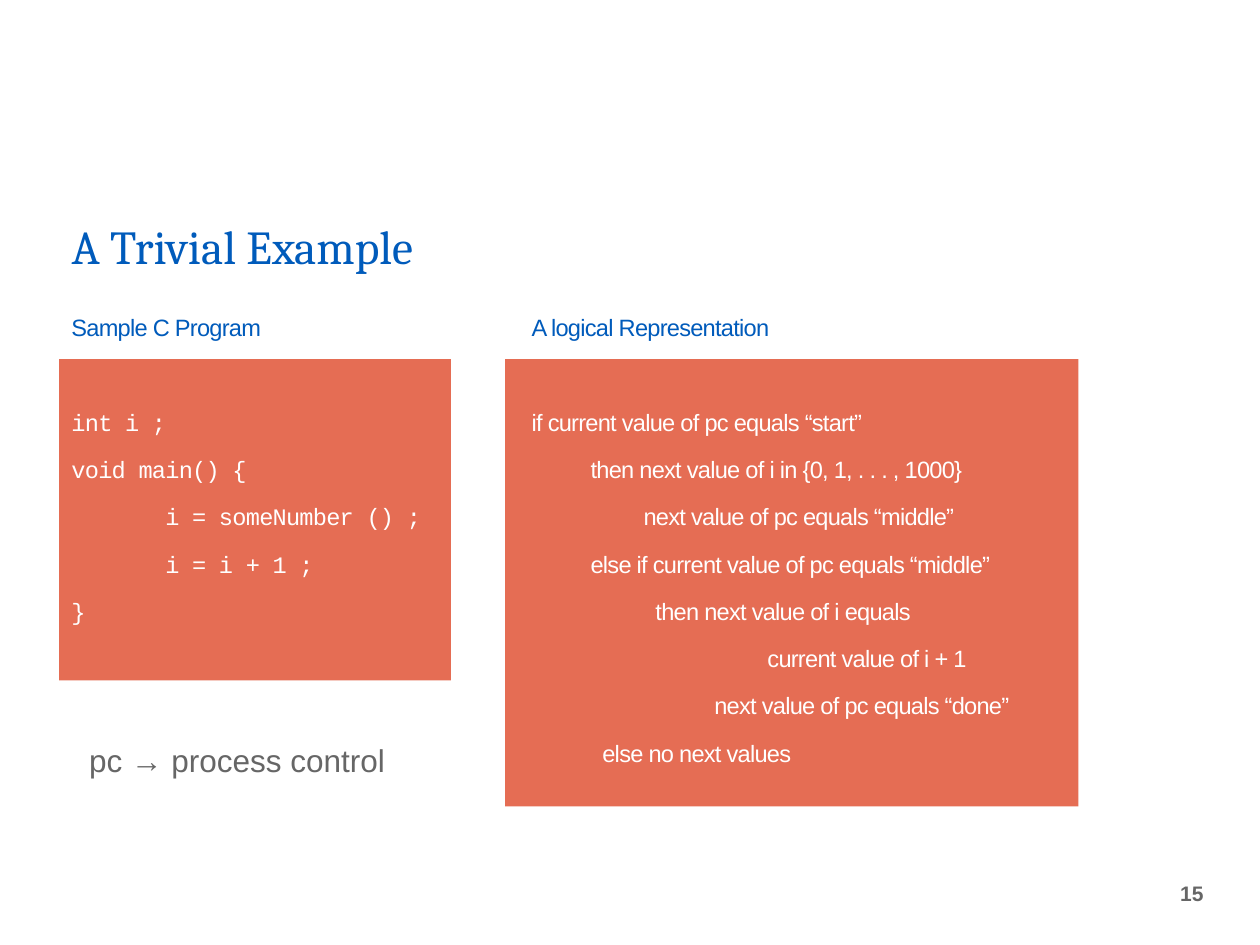
from pptx import Presentation
from pptx.dml.color import RGBColor
from pptx.enum.shapes import MSO_SHAPE as Shape
from pptx.enum.text import MSO_ANCHOR as Anchor, PP_ALIGN as Align
from pptx.util import Pt

COLORS = {"blue": "005BBB", "coral": "E56D54", "grey": "666666", "white": "FFFFFF"}
LINE, GAP = 19.5, 7.5
HEADING_H = 33.1
INDENT_STEP = 3.37

CODE = [
    "int i ;",
    "void main() {",
    "       i = someNumber () ;",
    "       i = i + 1 ;",
    "}",
]
LOGIC = [
    (0, "if current value of pc equals “start”"),
    (10, "then next value of i in {0, 1, . . . , 1000}"),
    (19, "next value of pc equals “middle”"),
    (10, "else if current value of pc equals “middle”"),
    (21, "then next value of i equals"),
    (40, "current value of i + 1"),
    (31, "next value of pc equals “done”"),
    (12, "else no next values"),
]


def rgb(name):
    return RGBColor.from_string(COLORS[name])


def add_text(s, box, text, font, size, color, anchor=Anchor.TOP, wrap=True):
    tf = s.shapes.add_textbox(*map(Pt, box)).text_frame
    tf.word_wrap = wrap
    tf.vertical_anchor = anchor
    p = tf.paragraphs[0]
    p.text = text
    style(p, font, size, color)
    return tf


def style(p, font, size, color):
    for r in p.runs:
        r.font.name = font
        r.font.size = Pt(size)
        r.font.color.rgb = rgb(color)


def tighten(p):
    p.line_spacing = Pt(LINE)
    for r in p.runs:
        r.font._element.set("spc", "-40")


def add_panel(s, box, inset, heading, lines, font):
    x, y, w, h = box
    card = s.shapes.add_shape(Shape.RECTANGLE, Pt(x), Pt(y + HEADING_H), Pt(w), Pt(h - HEADING_H))
    card.shadow.inherit = False
    card.fill.solid()
    card.fill.fore_color.rgb = rgb("coral")
    card.line.fill.background()

    text_box = (x + inset, y, w + 20 - 3 * inset, h)
    tf = add_text(s, text_box, heading, "Arial", 13.5, "blue")
    tighten(tf.paragraphs[0])
    for i, (indent, line) in enumerate(lines):
        p = tf.add_paragraph()
        p.text = line
        p.space_before = Pt(GAP if i else LINE + 2 * GAP)
        p._p.get_or_add_pPr().set("marL", str(Pt(indent * INDENT_STEP)))
        style(p, font, 13.5, "white")
        tighten(p)


def add_title(s, box):
    tf = add_text(s, box, "A Trivial Example", "Cambria", 27, "blue", Anchor.BOTTOM)
    tf.paragraphs[0].line_spacing = 0.8


def add_page_number(s, box):
    p = add_text(s, box, "15", "Arial", 12, "grey", Anchor.MIDDLE).paragraphs[0]
    p.alignment = Align.RIGHT
    p.runs[0].font.bold = True


def main():
    prs = Presentation()
    prs.slide_width, prs.slide_height = Pt(720), Pt(540)
    s = prs.slides.add_slide(prs.slide_layouts[6])
    add_page_number(s, (652.3, 489.6, 42.5, 41.8))
    add_panel(s, (33.8, 172.1, 223.9, 216.7), 0, "Sample C Program",
              [(0, line) for line in CODE], "Courier New")
    add_panel(s, (288.7, 172.1, 327.6, 288.7), 8, "A logical Representation", LOGIC, "Arial")
    add_title(s, (33.8, 103.7, 620.6, 56.2))
    add_text(s, (43.9, 419.8, 185, 28.8), "pc → process control", "Arial", 18, "grey", wrap=False)
    prs.save("out.pptx")


if __name__ == "__main__":
    main()
